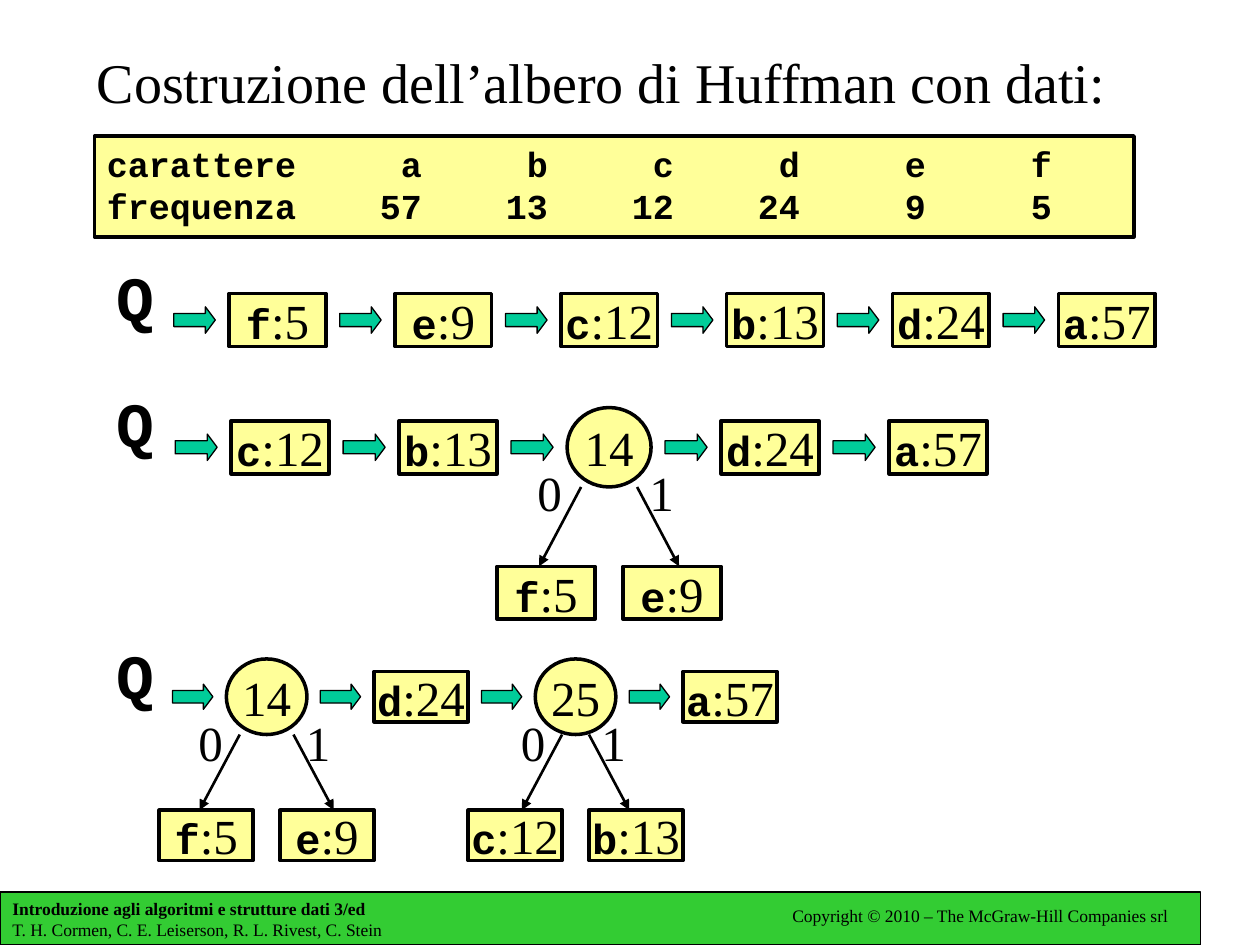
from dataclasses import dataclass

from lxml import etree
from pptx import Presentation
from pptx.dml.color import RGBColor
from pptx.enum.shapes import MSO_CONNECTOR, MSO_SHAPE
from pptx.enum.text import MSO_ANCHOR, PP_ALIGN
from pptx.oxml.ns import qn
from pptx.util import Inches, Pt

RECT, OVAL, ARROW = MSO_SHAPE.RECTANGLE, MSO_SHAPE.OVAL, MSO_SHAPE.RIGHT_ARROW
STRAIGHT = MSO_CONNECTOR.STRAIGHT
TOP, MIDDLE = MSO_ANCHOR.TOP, MSO_ANCHOR.MIDDLE
LEFT, CENTER = PP_ALIGN.LEFT, PP_ALIGN.CENTER


@dataclass(frozen=True)
class Theme:
    ink: RGBColor = RGBColor(0x00, 0x00, 0x00)
    node: RGBColor = RGBColor(0xFF, 0xFF, 0x99)
    arrow: RGBColor = RGBColor(0x00, 0xCC, 0x99)
    footer: RGBColor = RGBColor(0x33, 0xCC, 0x33)
    serif: str = "Times New Roman"
    mono: str = "Courier New"
    title_size: int = 32
    queue_size: int = 36
    number_size: int = 28
    letter_size: int = 24
    table_size: int = 20
    footer_size: int = 10
    thin: float = 0.75
    edge: float = 1.5
    thick: float = 2


THEME = Theme()


@dataclass(frozen=True)
class Leaf:
    letter: str
    frequency: int
    columns: int = 7


@dataclass(frozen=True)
class Tree:
    """Inner node; its edges leave the circle `inset` columns from each side."""
    total: int
    left: Leaf
    right: Leaf
    inset: int = 1
    columns: int = 6


@dataclass(frozen=True)
class Queue:
    """A row of nodes on its own grid of columns and rows."""
    label_top: float
    start: float
    axis: float
    column: float
    row: float
    nodes: tuple[Leaf | Tree, ...]

    def x(self, columns: float) -> float:
        return self.start + columns * self.column

    def y(self, rows: float) -> float:
        return self.axis + rows * self.row


A, B, C = Leaf("a", 57), Leaf("b", 13), Leaf("c", 12)
D, E, F = Leaf("d", 24), Leaf("e", 9), Leaf("f", 5)
QUEUES = (
    Queue(2, 1.38, 2.54, 0.1097, 0.105, (F, E, C, B, D, A)),
    Queue(3, 1.39, 3.55, 0.1111, 0.105, (C, B, Tree(14, F, E), D, A)),
    Queue(5, 1.37, 5.53, 0.1066, 0.1,
          (Tree(14, F, E), D, Tree(25, C, B, inset=2), A)),
)


def style_font(font, name: str, size: float, bold: bool = False) -> None:
    font.name, font.size, font.bold = name, Pt(size), bold
    font.color.rgb = THEME.ink


def add_block(slide, kind, box, fill: RGBColor, line: float):
    block = slide.shapes.add_shape(kind, *map(Inches, box))
    block.shadow.inherit = False
    block.fill.solid()
    block.fill.fore_color.rgb = fill
    block.line.color.rgb = THEME.ink
    block.line.width = Pt(line)
    return block


def first_paragraph(shape, anchor=MIDDLE, align=LEFT, wrap: bool = False):
    frame = shape.text_frame
    frame.word_wrap, frame.vertical_anchor = wrap, anchor
    frame.paragraphs[0].alignment = align
    return frame.paragraphs[0]


def add_label(slide, box, text: str, name: str, size: float,
              bold: bool = False, anchor=MIDDLE, wrap: bool = False) -> None:
    paragraph = first_paragraph(slide.shapes.add_textbox(*map(Inches, box)),
                                anchor, wrap=wrap)
    paragraph.text = text
    style_font(paragraph.font, name, size, bold)


def add_run(paragraph, text: str, name: str, size: float, bold: bool) -> None:
    run = paragraph.add_run()
    run.text = text
    style_font(run.font, name, size, bold)


def add_leaf(slide, queue: Queue, leaf: Leaf, column: float, row: float) -> None:
    box = (queue.x(column), queue.y(row), leaf.columns * queue.column, 4 * queue.row)
    block = add_block(slide, RECT, box, THEME.node, THEME.thick)
    paragraph = first_paragraph(block, align=CENTER)
    add_run(paragraph, leaf.letter, THEME.mono, THEME.letter_size, True)
    add_run(paragraph, f":{leaf.frequency}", THEME.serif, THEME.number_size, False)


def add_edge(slide, start, end) -> None:
    edge = slide.shapes.add_connector(STRAIGHT, *map(Inches, (*start, *end)))
    edge.line.color.rgb = THEME.ink
    edge.line.width = Pt(THEME.edge)
    etree.SubElement(edge.line._get_or_add_ln(), qn("a:tailEnd"), type="triangle")
    etree.SubElement(edge._element.spPr, qn("a:effectLst"))


def add_tree(slide, queue: Queue, tree: Tree, column: float) -> None:
    box = (queue.x(column), queue.y(-3), tree.columns * queue.column, 6 * queue.row)
    circle = add_block(slide, OVAL, box, THEME.node, THEME.thick)
    paragraph = first_paragraph(circle, align=CENTER)
    paragraph.text = str(tree.total)
    style_font(paragraph.font, THEME.serif, THEME.number_size)

    from_left = column + tree.inset
    from_right = column + tree.columns - tree.inset
    branches = (
        ("0", tree.left, column - 5, from_left, from_left - 3, from_left - 4),
        ("1", tree.right, column + 4, from_right, from_right + 3, from_right),
    )
    for bit, leaf, leaf_column, start, end, bit_column in branches:
        add_edge(slide, (queue.x(start), queue.y(3)), (queue.x(end), queue.y(9)))
        add_leaf(slide, queue, leaf, leaf_column, 9)
        add_label(slide, (queue.x(bit_column), queue.axis + 0.07, 0.4, 0.57),
                  bit, THEME.serif, THEME.number_size)


def add_queue(slide, queue: Queue) -> None:
    add_label(slide, (0.83, queue.label_top, 0.5, 0.7), "Q",
              THEME.mono, THEME.queue_size, bold=True)
    column = 0
    for node in queue.nodes:
        box = (queue.x(column), queue.y(-1), 3 * queue.column, 2 * queue.row)
        arrow = add_block(slide, ARROW, box, THEME.arrow, THEME.thin)
        arrow.adjustments[0], arrow.adjustments[1] = 0.5, 0.375
        if isinstance(node, Tree):
            add_tree(slide, queue, node, column + 4)
        else:
            add_leaf(slide, queue, node, column + 4, -2)
        column += node.columns + 5


def add_frequencies(slide, leaves: tuple[Leaf, ...]) -> None:
    panel = add_block(slide, RECT, (0.75, 1.08, 8.25, 0.8), THEME.node, THEME.thick)
    first = first_paragraph(panel, TOP, wrap=True)
    rows = (
        (first, ["carattere", *(leaf.letter for leaf in leaves)]),
        (panel.text_frame.add_paragraph(),
         ["frequenza", *(str(leaf.frequency) for leaf in leaves)]),
    )
    for paragraph, cells in rows:
        paragraph.text = "\t".join(cells)
        paragraph.alignment = LEFT
        tabs = etree.SubElement(paragraph._p.get_or_add_pPr(), qn("a:tabLst"))
        for index in range(len(leaves)):
            etree.SubElement(tabs, qn("a:tab"), pos=str(Inches(2.5 + index)), algn="r")
        style_font(paragraph.font, THEME.mono, THEME.table_size, True)


def add_footer(slide) -> None:
    bar = add_block(slide, RECT, (0, 7.08, 9.53, 0.42), THEME.footer, THEME.thin)
    book = first_paragraph(bar)
    add_run(book, "Introduzione agli algoritmi e strutture dati 3/ed",
            THEME.serif, THEME.footer_size, True)
    book.add_line_break()
    add_run(book, "T. H. Cormen, C. E. Leiserson, R. L. Rivest, C. Stein",
            THEME.serif, THEME.footer_size, False)
    add_label(slide, (6.19, 7.13, 3.2, 0.27),
              "Copyright © 2010 – The McGraw-Hill Companies srl",
              THEME.serif, THEME.footer_size, anchor=TOP)


def main() -> None:
    deck = Presentation()
    deck.slide_width, deck.slide_height = Inches(10), Inches(7.5)
    slide = deck.slides.add_slide(deck.slide_layouts[6])
    add_footer(slide)
    add_label(slide, (0.67, 0.33, 8.5, 0.63),
              "Costruzione dell’albero di Huffman con dati:",
              THEME.serif, THEME.title_size, anchor=TOP, wrap=True)
    add_frequencies(slide, (A, B, C, D, E, F))
    for queue in QUEUES:
        add_queue(slide, queue)
    deck.save("out.pptx")


if __name__ == "__main__":
    main()
